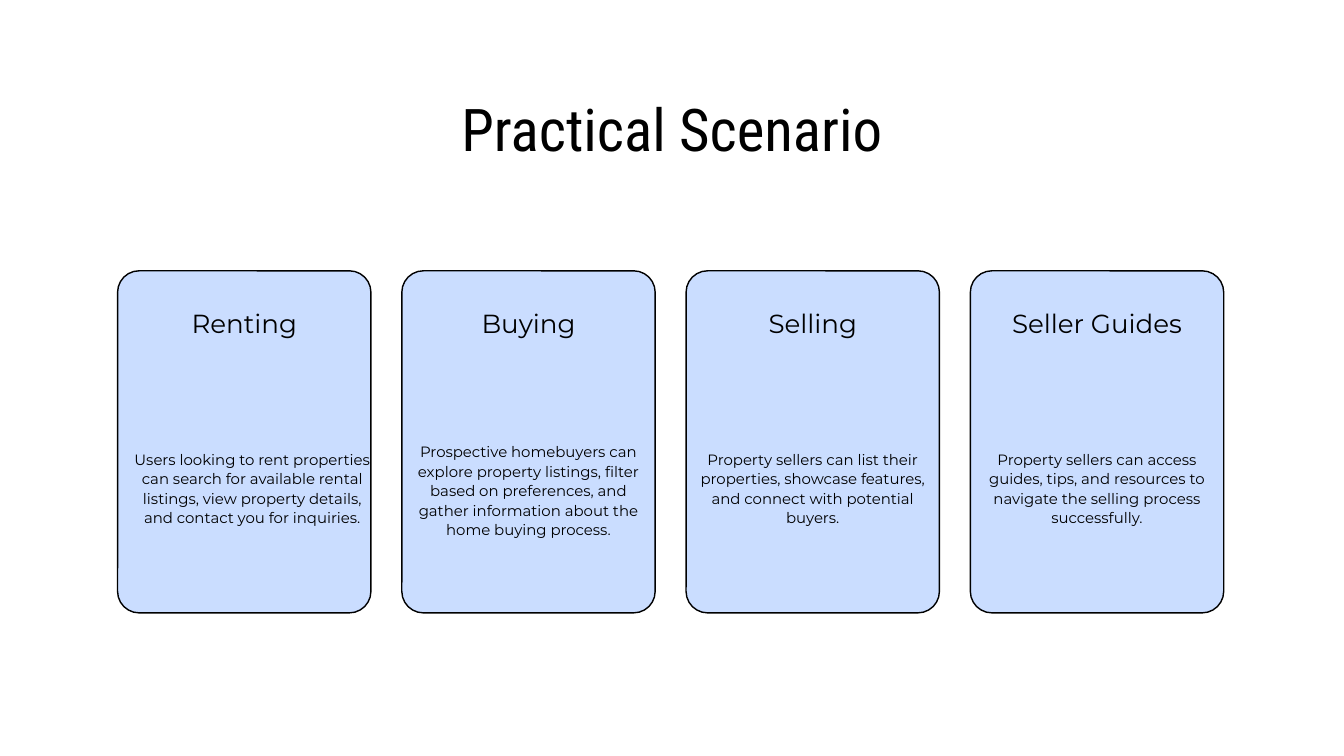
import pptx
import pptx.dml.color
import pptx.enum.shapes
import pptx.enum.text
import pptx.util

WIDTH, HEIGHT = 20, 11.25
CARD_LEFT, CARD_TOP, CARD_WIDTH, CARD_HEIGHT = 1.75, 4.03, 3.77, 5.09
CARD_PITCH = 4.23
BODY_LEFT, BODY_TOP = 0.12, 2.65
CARDS = [
    ("Renting", "Users looking to rent properties can search for available rental listings, "
     "view property details, and contact you for inquiries.", 0.24, BODY_TOP),
    ("Buying", "Prospective homebuyers can explore property listings, filter based on preferences, "
     "and gather information about the home buying process.", BODY_LEFT, 2.54),
    ("Selling", "Property sellers can list their properties, showcase features, "
     "and connect with potential buyers.", BODY_LEFT, BODY_TOP),
    ("Seller Guides", "Property sellers can access guides, tips, and resources to navigate "
     "the selling process successfully.", BODY_LEFT, BODY_TOP),
]


def color(hex_string):
    """Return the colour for a hex string."""
    return pptx.dml.color.RGBColor.from_string(hex_string)


def inches(*lengths):
    """Return the lengths as a list of inches."""
    return [pptx.util.Inches(length) for length in lengths]


def write(shape, text, font_name, size, line_spacing):
    """Fill a shape with one centred black paragraph, without margins."""
    frame = shape.text_frame
    frame.margin_left = frame.margin_right = frame.margin_top = frame.margin_bottom = 0
    frame.word_wrap = True
    frame.auto_size = pptx.enum.text.MSO_AUTO_SIZE.NONE
    frame.vertical_anchor = pptx.enum.text.MSO_ANCHOR.TOP
    frame.text = text
    paragraph = frame.paragraphs[0]
    paragraph.alignment = pptx.enum.text.PP_ALIGN.CENTER
    paragraph.line_spacing = pptx.util.Pt(line_spacing)
    paragraph.font.name = font_name
    paragraph.font.size = pptx.util.Pt(size)
    paragraph.font.color.rgb = color("000000")


def add_title(slide, left, top, width, height):
    """Place the title in its box."""
    title = slide.shapes.title
    title.left, title.top, title.width, title.height = inches(left, top, width, height)
    write(title, "Practical Scenario", "Roboto Condensed", 63.1, 63.8)


def add_card(slide, left, top, width, height, heading, body, body_left, body_top):
    """Draw a rounded card with its heading and body inside the given box."""
    card = slide.shapes.add_shape(pptx.enum.shapes.MSO_SHAPE.ROUNDED_RECTANGLE,
                                  *inches(left, top, width, height))
    card.adjustments[0] = 0.32 / width
    card.shadow.inherit = False
    card.fill.solid()
    card.fill.fore_color.rgb = color("CADDFF")
    card.line.color.rgb = color("000000")
    card.line.width = pptx.util.Pt(1.5)
    heading_width = 2.91
    heading_box = slide.shapes.add_textbox(
        *inches(left + (width - heading_width) / 2, top + 0.5, heading_width, 0.49))
    write(heading_box, heading, "Montserrat", 28, 36.4)
    body_box = slide.shapes.add_textbox(
        *inches(left + body_left, top + body_top, width - 2 * BODY_LEFT, 1.39))
    write(body_box, body, "Montserrat", 16, 20.8)


def main():
    """Build the slide and save it."""
    presentation = pptx.Presentation()
    presentation.slide_width, presentation.slide_height = inches(WIDTH, HEIGHT)
    slide = presentation.slides.add_slide(presentation.slide_layouts.get_by_name("Title Only"))
    slide.background.fill.solid()
    slide.background.fill.fore_color.rgb = color("FFFFFF")
    add_title(slide, 5.09, 1.55, WIDTH - 2 * 5.09, 0.95)
    for column, card in enumerate(CARDS):
        add_card(slide, CARD_LEFT + column * CARD_PITCH, CARD_TOP, CARD_WIDTH, CARD_HEIGHT, *card)
    presentation.save("out.pptx")


if __name__ == "__main__":
    main()
